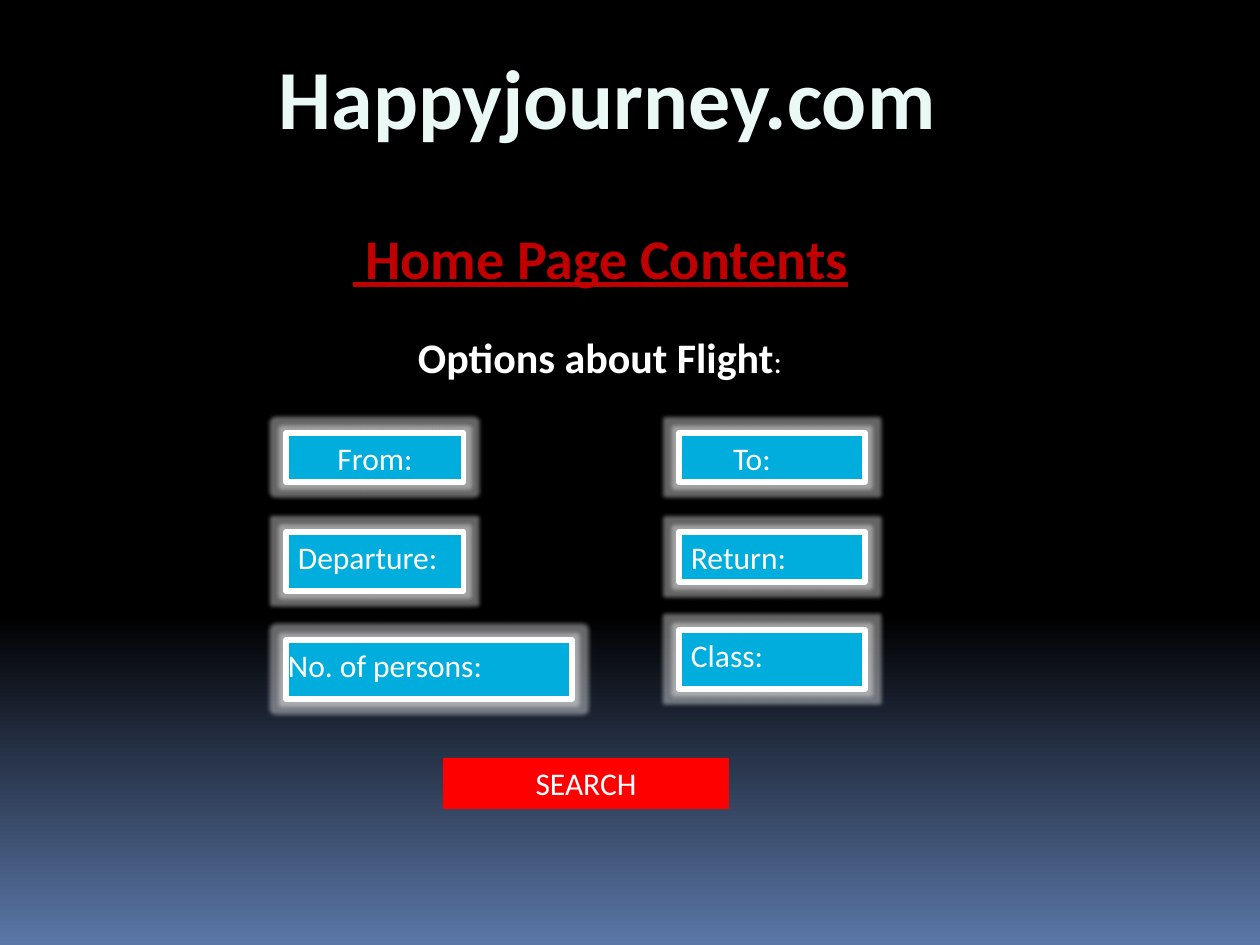
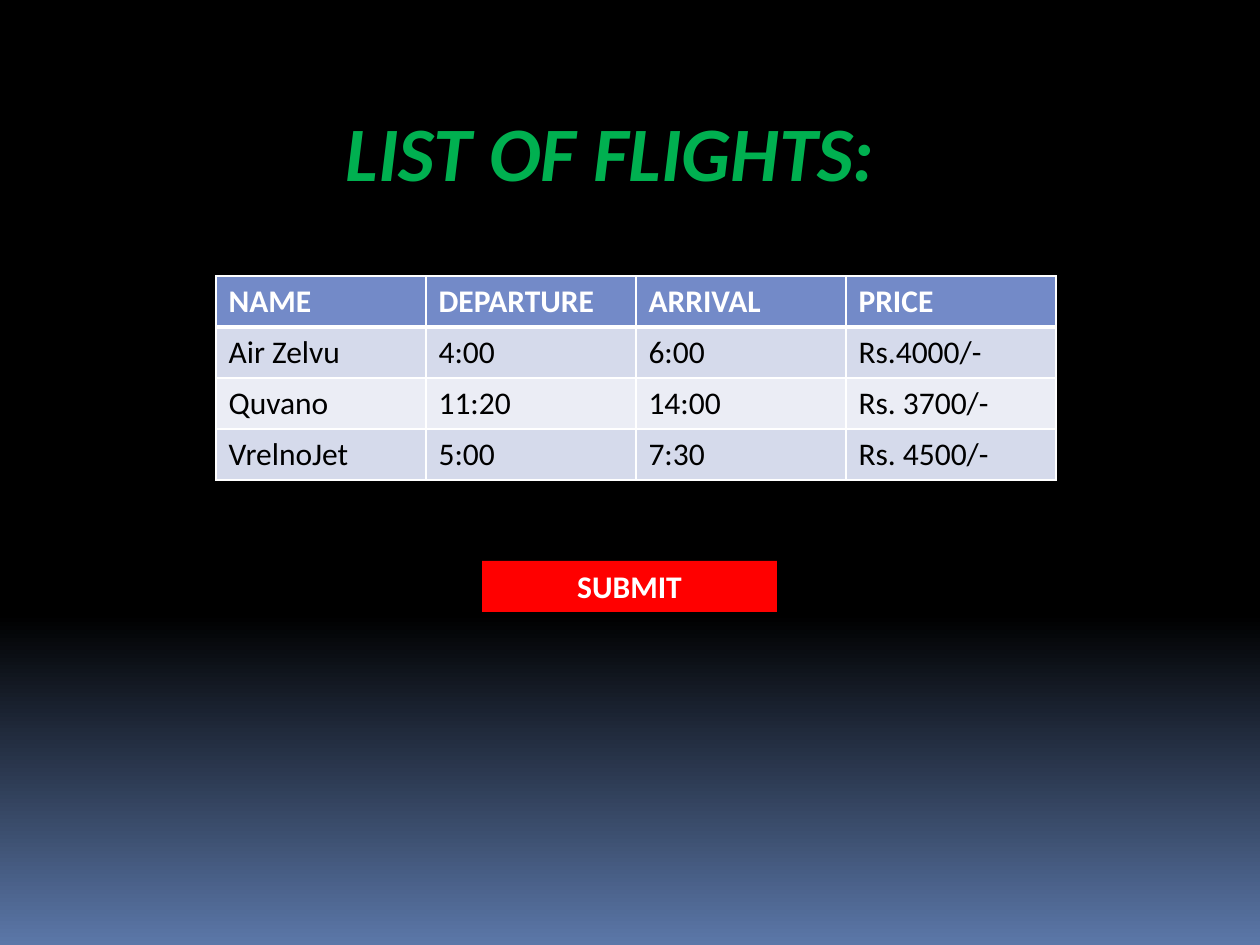
import pptx
import pptx.dml.color
import pptx.enum.shapes
import pptx.enum.text
import pptx.oxml
import pptx.oxml.ns
import pptx.util

RGB = pptx.dml.color.RGBColor
ALIGN = pptx.enum.text.PP_ALIGN
PX = 914400 / 126
FONT = "Calibri"

BLACK = RGB(0x00, 0x00, 0x00)
WHITE = RGB(0xFF, 0xFF, 0xFF)
DUSK = RGB(0x5B, 0x77, 0xA8)
MINT = RGB(0xEA, 0xF9, 0xF6)
DARK_RED = RGB(0xC0, 0x00, 0x00)
RED = RGB(0xFF, 0x00, 0x00)
GREEN = RGB(0x00, 0xB0, 0x50)
SKY = RGB(0x00, 0xAD, 0xDC)
HEADER = RGB(0x73, 0x8A, 0xC8)
BANDS = [RGB(0xD5, 0xDA, 0xEB), RGB(0xEB, 0xED, 0xF5)]

# Headings: box (left, top, width, height) and runs (text, format)
HOME_HEADINGS = [
    ((184, 39, 847, 115), [("Happyjourney.com", dict(size=48, color=MINT, bold=True))]),
    ((256, 217, 689, 81), [
        (" ", dict(size=32, color=DARK_RED, underline=True)),
        ("Home Page Contents", dict(size=32, color=DARK_RED, underline=True, bold=True))]),
    ((295, 325, 610, 63), [
        ("Options about Flight", dict(size=24, bold=True)), (":", dict())]),
]
LIST_HEADING = ((227, 98, 767, 106), [
    ("LIST OF FLIGHTS:", dict(size=44, color=GREEN, bold=True, italic=True))])

# Search fields: label, box, alignment, left and right inset
LEFT_X, RIGHT_X = 286, 679
NARROW, MEDIUM, WIDE = 178, 186, 286
FIELDS = [
    ("From:", (LEFT_X, 433, NARROW, 49), ALIGN.CENTER, 12, 12),
    ("To:", (RIGHT_X, 433, MEDIUM, 49), ALIGN.CENTER, 12, 52),
    ("Departure:", (LEFT_X, 532, NARROW, 59), ALIGN.LEFT, 12, 12),
    ("Return:", (RIGHT_X, 532, MEDIUM, 50), ALIGN.LEFT, 12, 12),
    ("No. of persons:", (LEFT_X, 640, WIDE, 59), ALIGN.LEFT, 2, 12),
    ("Class:", (RIGHT_X, 630, MEDIUM, 59), ALIGN.LEFT, 12, 12),
]
SEARCH = ("SEARCH", (443, 758, 286, 51), dict())
SUBMIT = ("SUBMIT", (482, 561, 295, 51), dict(bold=True))

FLIGHTS = [
    ("NAME", "DEPARTURE", "ARRIVAL", "PRICE"),
    ("Air Zelvu", "4:00", "6:00", "Rs.4000/-"),
    ("Quvano", "11:20", "14:00", "Rs. 3700/-"),
    ("VrelnoJet", "5:00", "7:30", "Rs. 4500/-"),
]
TABLE_LEFT, TABLE_TOP, COLUMN, ROW = 216, 276, 210, 51


def emu(px):
    return pptx.util.Emu(round(px * PX))


def place(box):
    return [emu(px) for px in box]


def write(frame, runs, align=ALIGN.CENTER):
    """Fill the first paragraph with formatted runs."""
    frame.word_wrap = True
    paragraph = frame.paragraphs[0]
    paragraph.alignment = align
    for text, style in runs:
        run = paragraph.add_run()
        run.text = text
        values = dict(size=18, color=WHITE) | style
        run.font.color.rgb = values.pop("color")
        values["size"] = pptx.util.Pt(values["size"])
        for name, value in (dict(name=FONT) | values).items():
            setattr(run.font, name, value)


def add_heading(slide, box, runs):
    write(slide.shapes.add_textbox(*place(box)).text_frame, runs)


def add_box(slide, box, fill):
    shape = slide.shapes.add_shape(pptx.enum.shapes.MSO_SHAPE.RECTANGLE, *place(box))
    shape.shadow.inherit = False
    shape.fill.solid()
    shape.fill.fore_color.rgb = fill
    shape.text_frame.vertical_anchor = pptx.enum.text.MSO_ANCHOR.TOP
    return shape


def add_button(slide, label, box, style):
    button = add_box(slide, box, RED)
    button.line.fill.background()
    write(button.text_frame, [(label, style)])


def add_field(slide, label, box, align, left, right):
    field = add_box(slide, box, SKY)
    field.line.color.rgb = WHITE
    field.line.width = pptx.util.Pt(3)
    field.text_frame.margin_left = emu(left)
    field.text_frame.margin_right = emu(right)
    write(field.text_frame, [(label, {})], align)
    # White glow around the field
    effects = field._element.spPr.find(pptx.oxml.ns.qn("a:effectLst"))
    effects.append(pptx.oxml.parse_xml(
        f'<a:glow {pptx.oxml.ns.nsdecls("a")} rad="{pptx.util.Pt(5)}">'
        f'<a:srgbClr val="{WHITE}"><a:alpha val="40000"/></a:srgbClr></a:glow>'))


def add_borders(cell, widths):
    properties = cell._tc.get_or_add_tcPr()
    for side, points in widths.items():
        properties.append(pptx.oxml.parse_xml(
            f'<a:ln{side} {pptx.oxml.ns.nsdecls("a")} w="{pptx.util.Pt(points)}">'
            f'<a:solidFill><a:srgbClr val="{WHITE}"/></a:solidFill></a:ln{side}>'))


def add_flights(slide):
    rows, columns = len(FLIGHTS), len(FLIGHTS[0])
    box = (TABLE_LEFT, TABLE_TOP, COLUMN * columns, ROW * rows)
    table = slide.shapes.add_table(rows, columns, *place(box)).table
    for r, flight in enumerate(FLIGHTS):
        table.rows[r].height = emu(ROW)
        is_header = r == 0
        style = dict(color=WHITE if is_header else BLACK, bold=is_header)
        for c, text in enumerate(flight):
            cell = table.cell(r, c)
            add_borders(cell, dict(L=1, R=1, T=3 if r == 1 else 1, B=3 if is_header else 1))
            cell.fill.solid()
            cell.fill.fore_color.rgb = HEADER if is_header else BANDS[(r - 1) % 2]
            write(cell.text_frame, [(text, style)], ALIGN.LEFT)


def set_background(master):
    fill = master.background.fill
    fill.gradient()
    fill.gradient_angle = 270
    for stop, position, color in zip(fill.gradient_stops, (0.65, 1), (BLACK, DUSK)):
        stop.position = position
        stop.color.rgb = color


def main():
    deck = pptx.Presentation()
    deck.slide_width, deck.slide_height = place((1260, 945))
    set_background(deck.slide_master)
    home, flights = [deck.slides.add_slide(deck.slide_layouts[6]) for _ in range(2)]

    # Home page with the search form
    for box, runs in HOME_HEADINGS:
        add_heading(home, box, runs)
    for field in FIELDS:
        add_field(home, *field)
    add_button(home, *SEARCH)

    # Flight list
    add_heading(flights, *LIST_HEADING)
    add_flights(flights)
    add_button(flights, *SUBMIT)

    deck.save("out.pptx")


if __name__ == "__main__":
    main()
